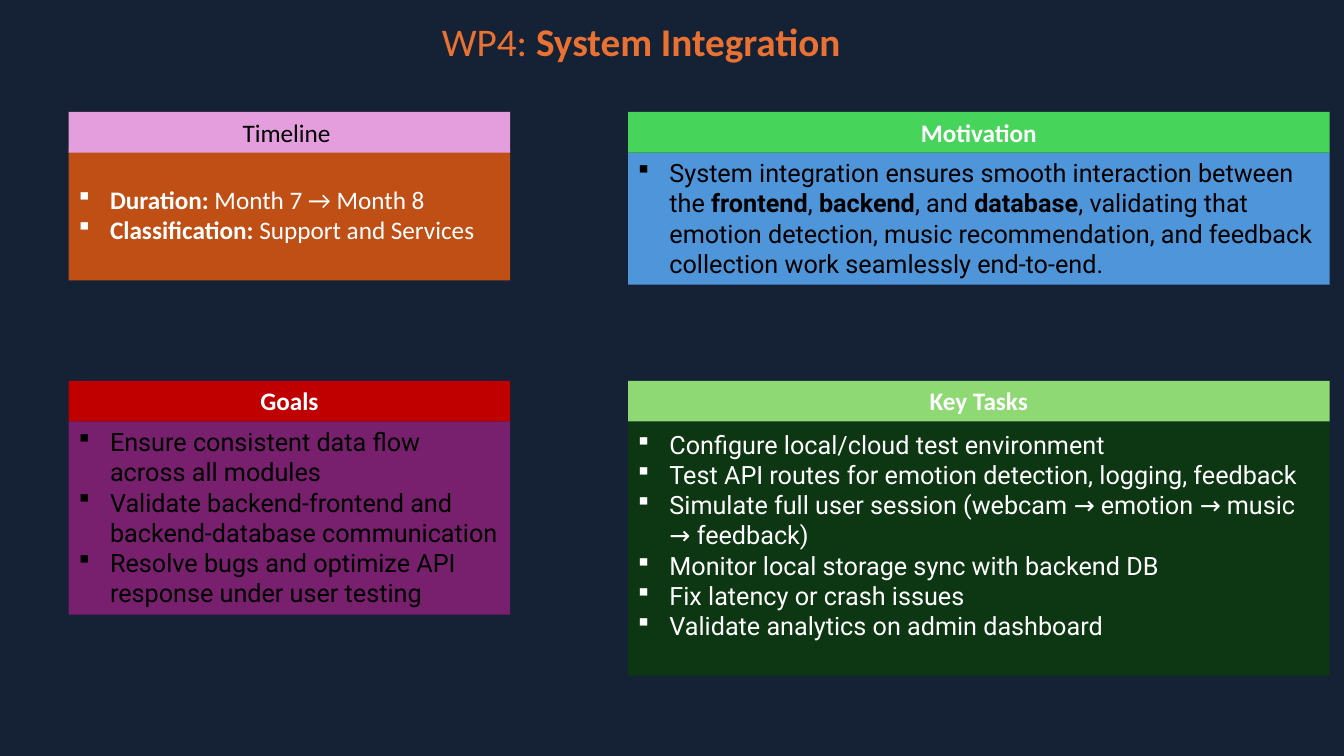
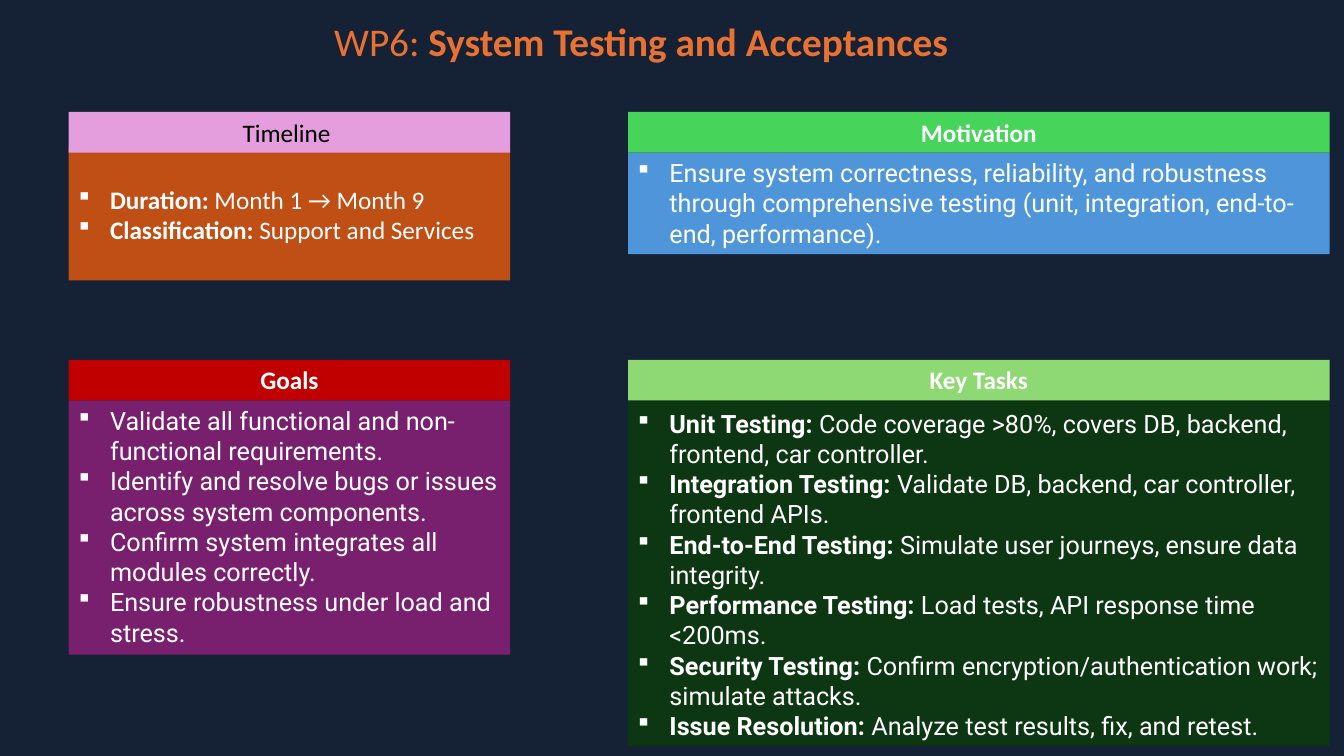
from lxml.etree import SubElement
from pptx import Presentation
from pptx.dml.color import RGBColor
from pptx.enum.shapes import MSO_SHAPE
from pptx.enum.text import MSO_ANCHOR, MSO_AUTO_SIZE, PP_ALIGN
from pptx.oxml.ns import qn
from pptx.util import Pt

NAVY = RGBColor(0x15, 0x21, 0x34)
ORANGE = RGBColor(0xE9, 0x71, 0x32)
WHITE = RGBColor(0xFF, 0xFF, 0xFF)
BLACK = RGBColor(0x00, 0x00, 0x00)
RUST = RGBColor(0xC0, 0x4F, 0x15)
PINK = RGBColor(0xE5, 0x9E, 0xDD)
BLUE = RGBColor(0x4E, 0x95, 0xD9)
GREEN = RGBColor(0x47, 0xD4, 0x5A)
PURPLE = RGBColor(0x78, 0x20, 0x6E)
RED = RGBColor(0xC0, 0x00, 0x00)
FOREST = RGBColor(0x0D, 0x36, 0x12)
LIME = RGBColor(0x8E, 0xD9, 0x73)

# Text between double asterisks is bold.
# "lines" is the height of a card body, counted in lines of text.
PACKAGES = [
    {
        "title": "WP4: **System Integration **",
        "lower_top": 272,
        "Timeline": {"lines": 4, "color": WHITE, "items": [
            "**Duration:** Month 7 → Month 8",
            "**Classification:** Support and Services",
        ]},
        "Motivation": {"lines": 4, "color": BLACK, "items": [
            "System integration ensures smooth interaction between the "
            "**frontend**, **backend**, and **database**, validating that "
            "emotion detection, music recommendation, and feedback "
            "collection work seamlessly end-to-end.",
        ]},
        "Goals": {"lines": 6, "color": BLACK, "items": [
            "Ensure consistent data flow across all modules",
            "Validate backend-frontend and backend-database communication",
            "Resolve bugs and optimize API response under user testing",
        ]},
        "Key Tasks": {"lines": 8, "color": WHITE, "items": [
            "Configure local/cloud test environment",
            "Test API routes for emotion detection, logging, feedback",
            "Simulate full user session (webcam → emotion → music → feedback)",
            "Monitor local storage sync with backend DB",
            "Fix latency or crash issues",
            "Validate analytics on admin dashboard",
        ]},
    },
    {
        "title": "WP6: **System Testing and Acceptances **",
        "lower_top": 257,
        "Timeline": {"lines": 4, "color": WHITE, "items": [
            "**Duration:** Month 1 → Month 9",
            "**Classification:** Support and Services",
        ]},
        "Motivation": {"lines": 3, "color": WHITE, "items": [
            "Ensure system correctness, reliability, and robustness through "
            "comprehensive testing (unit, integration, end-to-end, "
            "performance).",
        ]},
        "Goals": {"lines": 8, "color": WHITE, "items": [
            "Validate all functional and non-functional requirements.",
            "Identify and resolve bugs or issues across system components.",
            "Confirm system integrates all modules correctly.",
            "Ensure robustness under load and stress.",
        ]},
        "Key Tasks": {"lines": 11, "color": WHITE, "items": [
            "**Unit Testing:** Code coverage >80%, covers DB, backend, "
            "frontend, car controller.",
            "**Integration Testing:** Validate DB, backend, car controller, "
            "frontend APIs.",
            "**End-to-End Testing:** Simulate user journeys, ensure data "
            "integrity.",
            "**Performance Testing:** Load tests, API response time <200ms.",
            "**Security Testing:** Confirm encryption/authentication work; "
            "simulate attacks.",
            "**Issue Resolution:** Analyze test results, fix, and retest.",
        ]},
    },
]

LEFT, RIGHT = (49, 315.4), (448.6, 501.1)  # x and width of each column
UPPER_TOP = 80
HEADER_HEIGHT = 29
LINE_HEIGHT = 21.8
INSET = 3.6

# How each card looks on every slide; overlap tucks the body under its header.
CARDS = {
    "Motivation": {"column": RIGHT, "upper": True, "header": GREEN, "body": BLUE},
    "Timeline": {"column": LEFT, "upper": True, "header": PINK, "body": RUST,
                 "label": "Timeline ", "label_color": BLACK, "font": "Calibri",
                 "anchor": MSO_ANCHOR.MIDDLE, "overlap": 3},
    "Goals": {"column": LEFT, "upper": False, "header": RED, "body": PURPLE},
    "Key Tasks": {"column": RIGHT, "upper": False, "header": LIME, "body": FOREST,
                  "top_inset": 5.5},
}


def write(para, marked_text, size, font, color):
    """Add one run for each stretch of plain or bold text."""
    for index, text in enumerate(marked_text.split("**")):
        if text:
            span = para.add_run()
            span.text = text
            span.font.size = Pt(size)
            span.font.name = font
            span.font.bold = index % 2 == 1
            span.font.color.rgb = color


def add_bullet(para):
    properties = para._p.get_or_add_pPr()
    properties.set("marL", str(Pt(22.5)))
    properties.set("indent", str(-Pt(22.5)))
    SubElement(properties, qn("a:buFont")).set("typeface", "Wingdings")
    SubElement(properties, qn("a:buChar")).set("char", "§")


def add_block(group, left, top, width, height, fill, anchor, top_inset=INSET):
    """Add a borderless filled rectangle and return its text frame."""
    box = group.shapes.add_shape(
        MSO_SHAPE.RECTANGLE, Pt(left), Pt(top), Pt(width), Pt(height))
    box.shadow.inherit = False
    box.fill.solid()
    box.fill.fore_color.rgb = fill
    box.line.fill.background()
    frame = box.text_frame
    frame.word_wrap = True
    frame.vertical_anchor = anchor
    frame.margin_top = Pt(top_inset)
    frame.margin_bottom = Pt(INSET)
    return frame


def add_card(slide, name, content, top):
    look = CARDS[name]
    left, width = look["column"]
    group = slide.shapes.add_group_shape()

    body = add_block(
        group, left, top + HEADER_HEIGHT - look.get("overlap", 0), width,
        content["lines"] * LINE_HEIGHT + 2 * INSET, look["body"],
        look.get("anchor", MSO_ANCHOR.TOP), look.get("top_inset", INSET))
    for index, item in enumerate(content["items"]):
        para = body.add_paragraph() if index else body.paragraphs[0]
        para.alignment = PP_ALIGN.LEFT
        add_bullet(para)
        write(para, item, 18, look.get("font", "Roboto"), content["color"])

    header = add_block(group, left, top, width, HEADER_HEIGHT, look["header"],
                       MSO_ANCHOR.TOP)
    para = header.paragraphs[0]
    para.alignment = PP_ALIGN.CENTER
    write(para, look.get("label", f"**{name}**"), 18, "Calibri",
          look.get("label_color", WHITE))


def add_title(slide, marked_text):
    title = slide.shapes.title
    title.left, title.top = Pt(174.2), Pt(8.6)
    title.width, title.height = Pt(573.8), Pt(41.2)
    frame = title.text_frame
    frame.auto_size = MSO_AUTO_SIZE.NONE
    frame.word_wrap = True
    frame.vertical_anchor = MSO_ANCHOR.TOP
    para = frame.paragraphs[0]
    para.alignment = PP_ALIGN.CENTER
    write(para, marked_text, 28, "Calibri", ORANGE)


def main():
    deck = Presentation()
    deck.slide_width, deck.slide_height = Pt(960), Pt(540)
    background = deck.slide_master.background.fill
    background.solid()
    background.fore_color.rgb = NAVY
    title_only = deck.slide_layouts.get_by_name("Title Only")

    for package in PACKAGES:
        slide = deck.slides.add_slide(title_only)
        add_title(slide, package["title"])
        for name, look in CARDS.items():
            top = UPPER_TOP if look["upper"] else package["lower_top"]
            add_card(slide, name, package[name], top)

    deck.save("out.pptx")


if __name__ == "__main__":
    main()
